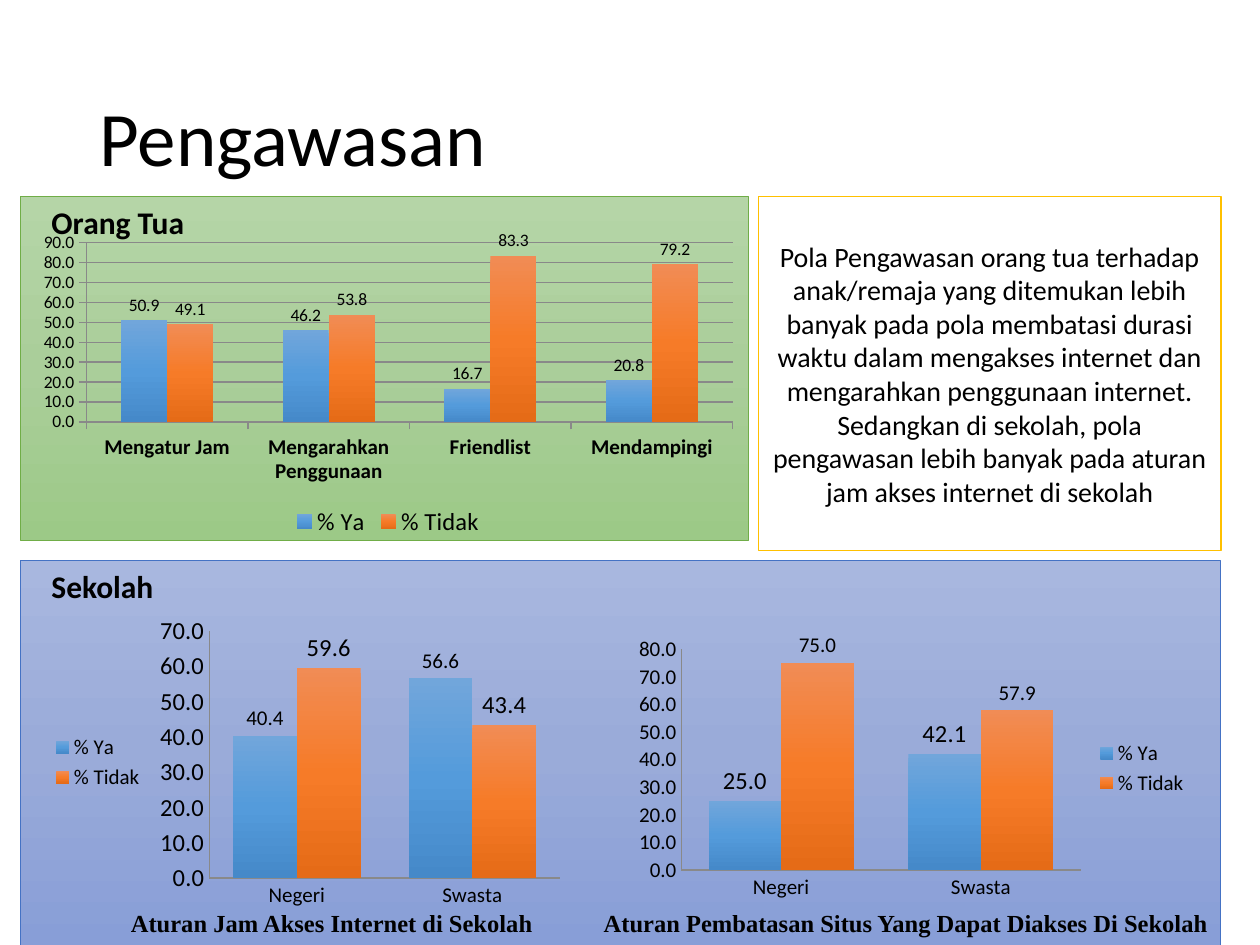
from copy import deepcopy
from dataclasses import dataclass

from lxml.etree import SubElement
from pptx import Presentation
from pptx.chart.data import CategoryChartData
from pptx.dml.color import RGBColor
from pptx.enum.chart import XL_CHART_TYPE, XL_LABEL_POSITION, XL_LEGEND_POSITION, XL_TICK_MARK
from pptx.enum.shapes import MSO_SHAPE
from pptx.enum.text import MSO_ANCHOR, MSO_AUTO_SIZE, PP_ALIGN
from pptx.oxml.ns import qn
from pptx.util import Pt

SCALE = 9144


@dataclass(frozen=True)
class Theme:
    sans: str = "Calibri"
    serif: str = "Times New Roman"
    ink: str = "000000"
    paper: str = "FFFFFF"
    axis: str = "898989"
    gold: str = "FFC000"
    green: str = "70AD47"
    blue: str = "4472C4"
    meadow: tuple = ("B5D5A7", "AACE9A", "9CC987")
    sky: tuple = ("A8B7DF", "9AABD9", "889ED7")
    bars: tuple = (("71A6DB", "549BDB", "4589C9"), ("F18C55", "F67B28", "E56B17"))
    title: int = 44
    head: int = 18
    body: int = 16
    label: int = 14
    small: int = 12
    tiny: int = 10


THEME = Theme()


def px(*values):
    return [value * SCALE for value in values]


def color(code):
    return RGBColor.from_string(code)


def style(font, size, bold=False, face=THEME.sans):
    font.name = face
    font.size = Pt(size)
    font.bold = bold
    font.color.rgb = color(THEME.ink)


def shade(fill, codes):
    fill.gradient()
    fill.gradient_angle = 270
    first = fill.gradient_stops[0]._gs
    first.addnext(deepcopy(first))
    for stop, code, place in zip(fill.gradient_stops, codes, (0, 0.5, 1)):
        stop.color.rgb = color(code)
        stop.position = place


def panel(slide, box, line, width=0.5):
    shape = slide.shapes.add_shape(MSO_SHAPE.RECTANGLE, *px(*box))
    shape.shadow.inherit = False
    shape.line.color.rgb = color(line)
    shape.line.width = Pt(width)
    return shape


def write(frame, text, size, align=PP_ALIGN.LEFT, bold=False, face=THEME.sans):
    frame.word_wrap = True
    frame.text = text
    para = frame.paragraphs[0]
    para.alignment = align
    style(para.runs[0].font, size, bold, face)
    return para


def label(slide, box, text, size, align=PP_ALIGN.LEFT, face=THEME.sans):
    frame = slide.shapes.add_textbox(*px(*box)).text_frame
    write(frame, text, size, align, True, face)
    frame.auto_size = MSO_AUTO_SIZE.SHAPE_TO_FIT_TEXT


def place(chart, area):
    plot = chart._chartSpace.chart.plotArea
    for old in plot.findall(qn("c:layout")):
        plot.remove(old)
    layout = SubElement(plot, qn("c:layout"))
    plot.insert(0, layout)
    manual = SubElement(layout, qn("c:manualLayout"))
    parts = [("layoutTarget", "inner"), ("xMode", "edge"), ("yMode", "edge")]
    for name, value in parts + list(zip("xywh", area)):
        SubElement(manual, qn(f"c:{name}")).set("val", str(value))


def columns(slide, box, area, cats, rows, sizes, legend, top, gap=75, grid=False):
    data = CategoryChartData(number_format="0.0")
    data.categories = cats
    for name, values in zip(("% Ya", "% Tidak"), rows):
        data.add_series(name, values)
    chart = slide.shapes.add_chart(XL_CHART_TYPE.COLUMN_CLUSTERED, *px(*box), data).chart
    chart.has_title = False
    base, tick, *marks, key = sizes
    style(chart.font, base)
    chart.has_legend = True
    chart.legend.position = legend
    chart.legend.include_in_layout = False
    style(chart.legend.font, key)

    mark = XL_TICK_MARK.OUTSIDE if grid else XL_TICK_MARK.NONE
    for axis in (chart.category_axis, chart.value_axis):
        axis.major_tick_mark = mark
        axis.minor_tick_mark = XL_TICK_MARK.NONE
        axis.format.line.color.rgb = color(THEME.axis)
    style(chart.category_axis.tick_labels.font, THEME.small, grid)
    scale = chart.value_axis
    scale.minimum_scale, scale.maximum_scale, scale.major_unit = 0, top, 10
    scale.has_major_gridlines = grid
    if grid:
        scale.major_gridlines.format.line.color.rgb = color(THEME.axis)
    scale.tick_labels.number_format = "0.0"
    scale.tick_labels.number_format_is_linked = False
    style(scale.tick_labels.font, tick)

    plot = chart.plots[0]
    plot.gap_width = gap
    plot.overlap = 0
    plot.vary_by_categories = False
    for series, codes, size in zip(plot.series, THEME.bars, marks):
        shade(series.format.fill, codes)
        tags = series.data_labels
        tags.show_value = True
        tags.number_format = "0.0"
        tags.number_format_is_linked = False
        tags.position = XL_LABEL_POSITION.OUTSIDE_END
        style(tags.font, size)
    place(chart, area)


def main():
    deck = Presentation()
    deck.slide_width, deck.slide_height = px(1000, 750)
    slide = deck.slides.add_slide(deck.slide_layouts[5])
    t = THEME

    school = panel(slide, (16, 445, 953, 305), t.blue)
    shade(school.fill, t.sky)
    home = panel(slide, (16, 156, 578, 273), t.green)
    shade(home.fill, t.meadow)

    title = slide.shapes.title
    title.left, title.top, title.width, title.height = px(69, 40, 862, 145)
    title.text_frame.vertical_anchor = MSO_ANCHOR.MIDDLE
    write(title.text_frame, "Pengawasan", t.title).line_spacing = 0.9

    columns(slide, (23, 180, 570, 250), (0.08, 0.05, 0.9, 0.57),
            ("Mengatur Jam", "Mengarahkan Penggunaan", "Friendlist", "Mendampingi"),
            ((50.9, 46.2, 16.7, 20.8), (49.1, 53.8, 83.3, 79.2)),
            (t.tiny, t.tiny, t.tiny, t.tiny, t.label),
            XL_LEGEND_POSITION.BOTTOM, 90, 150, True)
    kinds = ("Negeri", "Swasta")
    columns(slide, (31, 484, 422, 242), (0.32, 0.07, 0.66, 0.81), kinds,
            ((40.4, 56.6), (59.6, 43.4)),
            (t.head, t.label, t.small, t.label, t.small), XL_LEGEND_POSITION.LEFT, 70)
    columns(slide, (500, 500, 453, 219), (0.09, 0.07, 0.7, 0.8), kinds,
            ((25.0, 42.1), (75.0, 57.9)),
            (t.head, t.small, t.label, t.small, t.small), XL_LEGEND_POSITION.RIGHT, 80)

    label(slide, (469, 716, 500, 34), "Aturan Pembatasan Situs Yang Dapat Diakses Di Sekolah",
          t.label, PP_ALIGN.CENTER, t.serif)
    label(slide, (94, 716, 375, 34), "Aturan Jam Akses Internet di Sekolah", t.label, face=t.serif)

    note = panel(slide, (602, 156, 367, 281), t.gold, 1)
    note.fill.solid()
    note.fill.fore_color.rgb = color(t.paper)
    note.text_frame.vertical_anchor = MSO_ANCHOR.MIDDLE
    write(note.text_frame,
          "Pola Pengawasan orang tua terhadap anak/remaja yang ditemukan lebih banyak pada "
          "pola membatasi durasi waktu dalam mengakses internet dan mengarahkan penggunaan "
          "internet. Sedangkan di sekolah, pola pengawasan lebih banyak pada aturan jam akses "
          "internet di sekolah", t.body, PP_ALIGN.CENTER)

    label(slide, (31, 156, 328, 40), "Orang Tua", t.head)
    label(slide, (31, 445, 266, 40), "Sekolah", t.head)
    deck.save("out.pptx")


if __name__ == "__main__":
    main()
